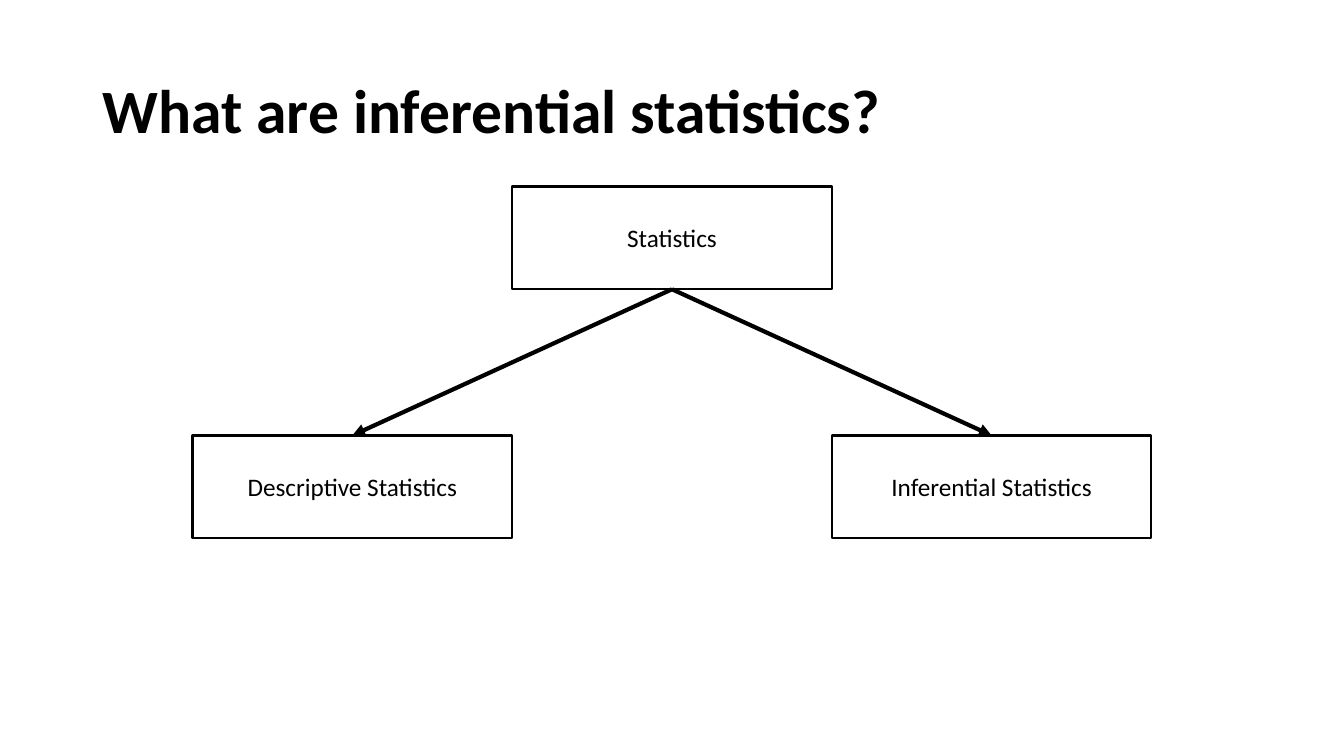
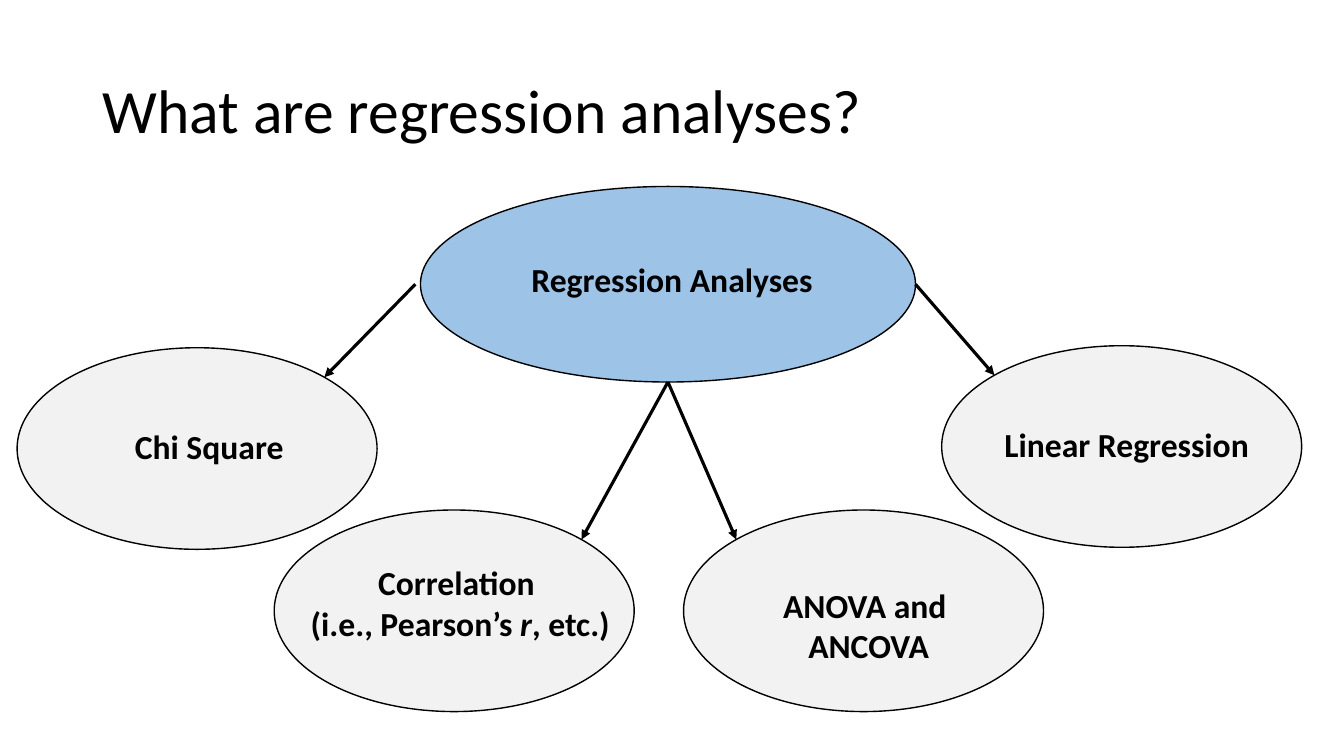
from pptx import Presentation
from pptx.dml.color import RGBColor
from pptx.enum.shapes import MSO_CONNECTOR, MSO_SHAPE
from pptx.enum.text import MSO_ANCHOR, PP_ALIGN
from pptx.oxml.ns import qn
from pptx.util import Inches, Pt
from lxml.etree import SubElement

COLOURS = {"ink": "000000", "hub": "9DC3E6", "branch": "F2F2F2"}
FONT = "Calibri"
TITLE_AT = (0.92, 0.4, 11.5, 1.45)
TITLE_STYLE = dict(size=44, align=PP_ALIGN.LEFT, spacing=0.9)
LABEL_STYLE = dict(size=24, bold=True, anchor=MSO_ANCHOR.TOP)


def write(page, text, at, shape=None, fill=None, line=1, size=18, bold=False,
          align=PP_ALIGN.CENTER, anchor=MSO_ANCHOR.MIDDLE, spacing=None):
    """Add a text box or an outlined shape; text between asterisks is italic."""
    place = [Inches(length) for length in at]
    if shape is None:
        box = page.shapes.add_textbox(*place)
    else:
        box = page.shapes.add_shape(shape, *place)
        box.shadow.inherit = False
        box.line.color.rgb = RGBColor.from_string(COLOURS["ink"])
        box.line.width = Pt(line)
        if fill:
            box.fill.solid()
            box.fill.fore_color.rgb = RGBColor.from_string(COLOURS[fill])
        else:
            box.fill.background()
    frame = box.text_frame
    frame.word_wrap = True
    frame.vertical_anchor = anchor
    for row, words in enumerate(text.split("\n")):
        para = frame.add_paragraph() if row else frame.paragraphs[0]
        para.alignment = align
        if spacing:
            para.line_spacing = spacing
        for part, piece in enumerate(words.split("*")):
            span = para.add_run()
            span.text = piece
            span.font.name = FONT
            span.font.size = Pt(size)
            span.font.bold = bold
            span.font.italic = part % 2 == 1
            span.font.color.rgb = RGBColor.from_string(COLOURS["ink"])


def draw_arrow(page, start, end, width):
    """Draw a straight arrow from start to end, without a shadow."""
    arrow = page.shapes.add_connector(
        MSO_CONNECTOR.STRAIGHT, *[Inches(length) for length in (*start, *end)])
    arrow.line.color.rgb = RGBColor.from_string(COLOURS["ink"])
    arrow.line.width = Pt(width)
    SubElement(arrow.line._get_or_add_ln(), qn("a:tailEnd"), type="triangle")
    SubElement(arrow._element.spPr, qn("a:effectLst"))


deck = Presentation()
deck.slide_width, deck.slide_height = Inches(13.33), Inches(7.5)
blank = deck.slide_layouts[6]

# Slide 1: a tree of three boxes, each one column wide
page = deck.slides.add_slide(blank)
write(page, "What are inferential statistics?", TITLE_AT, bold=True, **TITLE_STYLE)
column, box_height = 3.17, 1.02
tree_left, root_top, leaf_top = 1.91, 1.85, 4.32
root_foot = (tree_left + 1.5 * column, root_top + box_height)
for name, place, top in (("Statistics", 1, root_top),
                         ("Descriptive Statistics", 0, leaf_top),
                         ("Inferential Statistics", 2, leaf_top)):
    left = tree_left + place * column
    write(page, name, (left, top, column, box_height),
          shape=MSO_SHAPE.RECTANGLE, line=1.5)
    if top == leaf_top:
        draw_arrow(page, root_foot, (left + column / 2, top), 3)

# Slide 2: a hub with four branches
page = deck.slides.add_slide(blank)
write(page, "What are regression analyses?", TITLE_AT, **TITLE_STYLE)
hub_left, hub_top, hub_width, hub_height = hub = (4.17, 1.85, 4.91, 1.94)
write(page, "", hub, shape=MSO_SHAPE.OVAL, fill="hub")
write(page, "Regression Analyses", (4.69, 2.52, 3.95, 0.5), **LABEL_STYLE)
hub_middle = hub_top + hub_height / 2
hub_foot = (hub_left + hub_width / 2, hub_top + hub_height)
hub_west = (hub_left - 0.05, hub_middle)
hub_east = (hub_left + hub_width, hub_middle)

oval_width, oval_height = 3.57, 2
corner = (1 - 0.5 ** 0.5) / 2  # share of an oval's box outside its diagonal point
# label, oval left and top, label shift right and down, arrow start, side it meets
branches = (
    ("ANOVA and \nANCOVA", 6.78, 5.06, 0.05, 0.69, hub_foot, corner),
    ("Linear Regression", 9.34, 3.43, 0.05, 0.73, hub_east, corner),
    ("Correlation \n(i.e., Pearson’s *r*, etc.)", 2.72, 5.06, 0.06, 0.47,
     hub_foot, 1 - corner),
    ("Chi Square", 0.17, 3.45, 0.12, 0.73, hub_west, 1 - corner),
)
for label, left, top, right_shift, down_shift, start, side in branches:
    write(page, "", (left, top, oval_width, oval_height),
          shape=MSO_SHAPE.OVAL, fill="branch")
    label_height = 0.5 + 0.44 * label.count("\n")
    write(page, label, (left + right_shift, top + down_shift, oval_width, label_height),
          **LABEL_STYLE)
    draw_arrow(page, start, (left + side * oval_width, top + corner * oval_height), 2.25)

deck.save("out.pptx")
